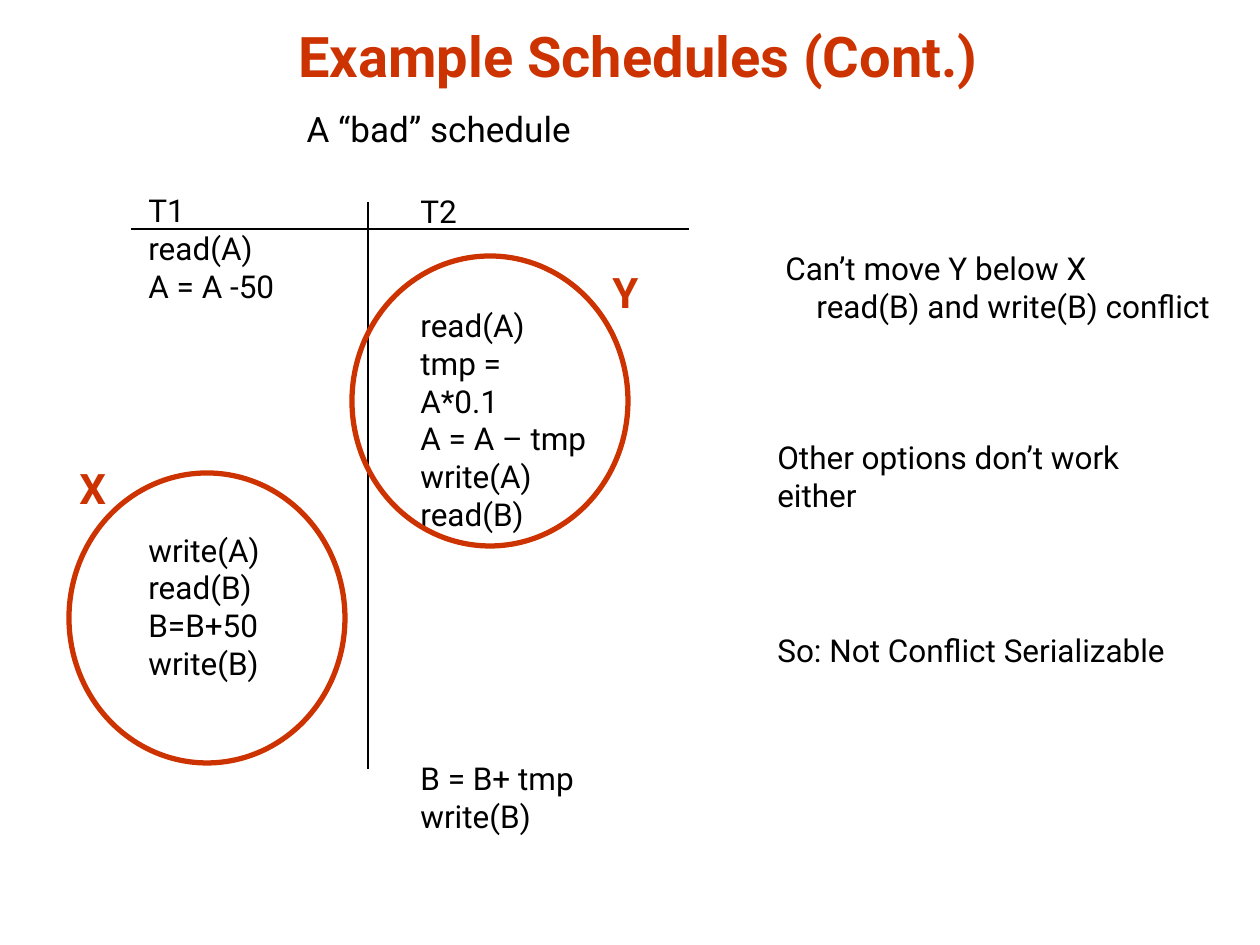
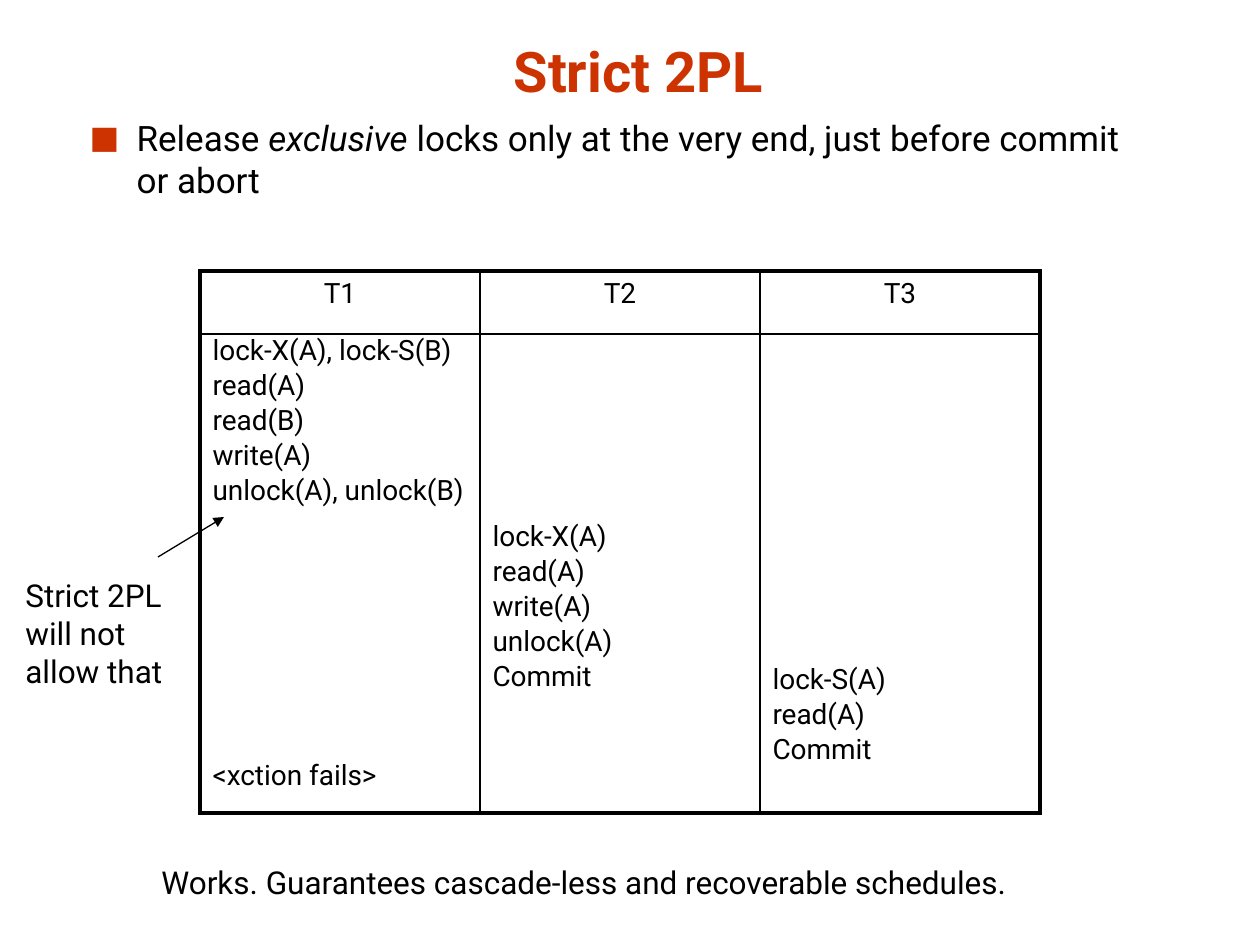
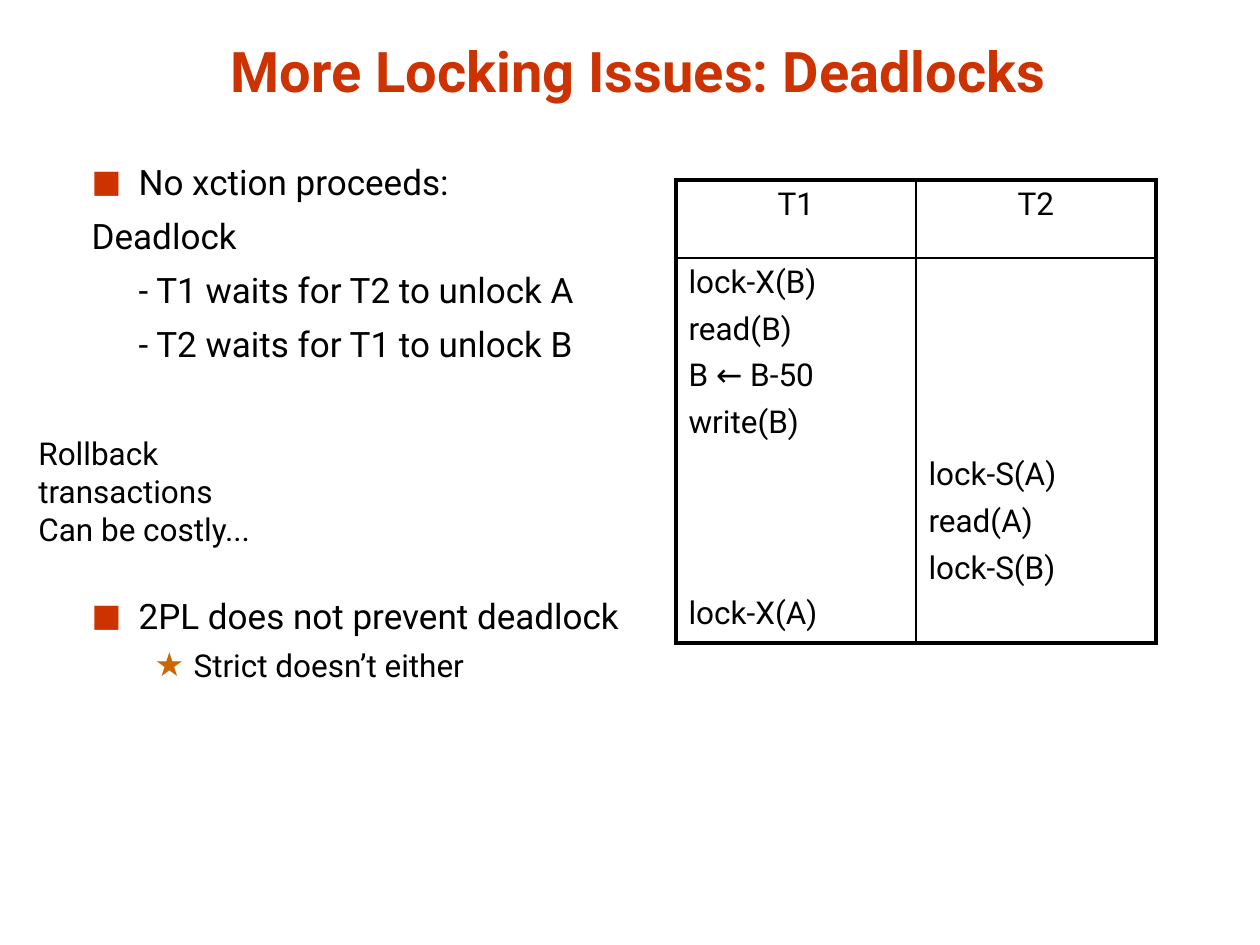
import pptx
import pptx.util
import pptx.dml.color
import pptx.enum.shapes
import pptx.enum.text
import pptx.oxml
import pptx.oxml.ns

RED = pptx.dml.color.RGBColor(0xCC, 0x33, 0x00)
AMBER = pptx.dml.color.RGBColor(0xCC, 0x66, 0x00)
BLACK = pptx.dml.color.RGBColor(0, 0, 0)
FONT = "Roboto"
SCALE = 914400 / 126  # EMU in one px
CENTER = pptx.enum.text.PP_ALIGN.CENTER
THIN, THICK = 12700, 28575  # table rules in EMU


def px(*sizes):
    return [pptx.util.Emu(round(size * SCALE)) for size in sizes]


def node(tag, inner="", **attrs):
    """Build one DrawingML element."""
    text = "".join(f' {key}="{value}"' for key, value in attrs.items())
    space = pptx.oxml.ns.nsdecls("a")
    return pptx.oxml.parse_xml(f"<a:{tag} {space}{text}>{inner}</a:{tag}>")


class Deck:
    def __init__(self):
        self.prs = pptx.Presentation()
        self.prs.slide_width, self.prs.slide_height = px(1260, 945)
        self.slide = None

    def place(self, shape, box):
        shape.left, shape.top, shape.width, shape.height = px(*box)

    def font(self, para, size, color=BLACK, bold=False):
        for run in para.runs:
            font = run.font
            font.name, font.size, font.bold = FONT, pptx.util.Pt(size), bold
            font.color.rgb = color

    def fill(self, frame, lines, size=18, lead=0, gaps=None, color=BLACK, bold=False):
        """Write lines; lead is the usual space above, gaps adds px by index."""
        frame.text = "\n".join(lines)
        for row, para in enumerate(frame.paragraphs):
            para.space_before = px(lead + (gaps or {}).get(row, 0))[0]
            self.font(para, size, color, bold)

    def start(self, title, top=26):
        self.slide = self.prs.slides.add_slide(self.prs.slide_layouts[1])
        head = self.slide.shapes.title
        self.place(head, (82, top, 1113, 84))
        frame = head.text_frame
        self.fill(frame, [title], 32, color=RED, bold=True)
        frame.auto_size = pptx.enum.text.MSO_AUTO_SIZE.NONE
        frame.vertical_anchor = pptx.enum.text.MSO_ANCHOR.BOTTOM
        frame.paragraphs[0].alignment = CENTER

    def body(self, box, lines, gaps=None):
        shape = self.slide.placeholders[1]
        self.place(shape, box)
        frame = shape.text_frame
        self.fill(frame, lines, 20, 12, gaps)
        frame.auto_size = pptx.enum.text.MSO_AUTO_SIZE.NONE
        for para in frame.paragraphs:
            self.indent(para, 0)
        return frame.paragraphs

    def indent(self, para, left, hang=0, mark=None, color=RED, size=90):
        """Set the left margin, hanging indent and bullet of a paragraph."""
        props = para._p.get_or_add_pPr()
        props.set("marL", str(px(left)[0]))
        props.set("indent", str(px(-hang)[0]))
        for old in props.findall(pptx.oxml.ns.qn("a:buNone")):
            props.remove(old)
        if mark:
            props.append(node("buClr", f'<a:srgbClr val="{color}"/>'))
            props.append(node("buSzPct", val=size * 1000))
            props.append(node("buFont", typeface=FONT))
            props.append(node("buChar", char=mark))
        else:
            props.append(node("buNone"))

    def square(self, para):
        self.indent(para, 47, 47, "■")

    def text(self, box, lines, size=18, **style):
        frame = self.slide.shapes.add_textbox(*px(*box)).text_frame
        frame.word_wrap = True
        self.fill(frame, lines, size, **style)
        return frame.paragraphs

    def line(self, x1, y1, x2, y2, arrow=False):
        kind = pptx.enum.shapes.MSO_CONNECTOR.STRAIGHT
        line = self.slide.shapes.add_connector(kind, *px(x1, y1, x2, y2))
        line.line.color.rgb = BLACK
        line.line.width = pptx.util.Pt(0.75)
        line._element.spPr.append(node("effectLst"))
        if arrow:
            line.line._get_or_add_ln().append(node("tailEnd", type="triangle"))

    def ring(self, left, top):
        kind = pptx.enum.shapes.MSO_SHAPE.OVAL
        ring = self.slide.shapes.add_shape(kind, *px(left, top, 276, 290))
        ring.shadow.inherit = False
        ring.fill.background()
        ring.line.color.rgb = RED
        ring.line.width = pptx.util.Pt(3)

    def table(self, left, top, wide, highs, cols, size, lead, space=1.0):
        """Draw a schedule; each column is (head, lines, gaps, top margin)."""
        last = len(cols) - 1
        box = px(left, top, wide * len(cols), sum(highs))
        table = self.slide.shapes.add_table(2, len(cols), *box).table
        table.first_row = table.horz_banding = False
        for row, high in zip(table.rows, highs):
            row.height = px(high)[0]
        for col, (head, lines, gaps, skip) in enumerate(cols):
            table.columns[col].width = px(wide)[0]
            top_cell, low_cell = table.cell(0, col), table.cell(1, col)
            self.fill(top_cell.text_frame, [head], size, lead)
            top_cell.text_frame.paragraphs[0].alignment = CENTER
            self.fill(low_cell.text_frame, lines, size, lead, gaps)
            low_cell.margin_top = px(6 + skip)[0]
            for para in low_cell.text_frame.paragraphs:
                para.line_spacing = space
            for row, cell in enumerate((top_cell, low_cell)):
                self.border(cell, (col == 0, col == last, row == 0, row == 1))

    def border(self, cell, outer):
        cell.fill.background()
        props = cell._tc.get_or_add_tcPr()
        ink = f'<a:solidFill><a:srgbClr val="{BLACK}"/></a:solidFill>'
        for spot, (side, edge) in enumerate(zip("LRTB", outer)):
            props.insert(spot, node("ln" + side, ink, w=THICK if edge else THIN))


def bad(deck):
    deck.start("Example Schedules (Cont.)", 11)
    note = deck.body((146, 101, 926, 91), ["A “bad” schedule"])
    deck.indent(note[0], 148)

    # Schedule columns
    deck.text((136, 185, 190, 505),
              ["T1", "read(A)", "A = A -50", "write(A)", "read(B)", "B=B+50",
               "write(B)"], gaps={3: 226})
    deck.text((408, 186, 210, 619),
              ["T2", "read(A)", "tmp =\vA*0.1", "A = A – tmp", "write(A)",
               "read(B)", "B = B+ tmp", "write(B)"], gaps={1: 76, 6: 226})
    deck.line(131, 229, 689, 229)
    deck.line(368, 202, 368, 769)

    # Conflicting blocks
    for name, ring, tag in (("Y", (352, 256), (600, 260)),
                            ("X", (69, 473), (67, 456))):
        deck.ring(*ring)
        deck.text((*tag, 53, 63), [name], 24, color=RED, bold=True)

    # Reasoning
    why = deck.text((773, 243, 470, 88),
                    ["Can’t move Y below X", "read(B) and write(B) conflict"])
    deck.indent(why[1], 31)
    deck.text((765, 432, 430, 88), ["Other options don’t work either"])
    deck.text((765, 625, 440, 50), ["So: Not Conflict Serializable"])


def strict(deck):
    deck.start("Strict 2PL")
    rule = deck.body((77, 110, 1081, 140), ["Release "])[0]
    word, rest = rule.add_run(), rule.add_run()
    word.text = "exclusive"
    rest.text = " locks only at the very end, just before commit or abort"
    deck.font(rule, 20)
    word.font.italic = True
    deck.square(rule)

    # Schedule
    deck.table(200, 271, 280, (63, 479), [
        ("T1", ["lock-X(A), lock-S(B)", "read(A)", "read(B)", "write(A)",
                "unlock(A), unlock(B)", "<xction fails>"], {5: 250}, 0),
        ("T2", ["lock-X(A)", "read(A)", "write(A)", "unlock(A)", "Commit"], {}, 186),
        ("T3", ["lock-S(A)", "read(A)", "Commit"], {}, 329),
    ], 16, 9, 0.8)

    # Remarks
    deck.line(158, 557, 224, 517, arrow=True)
    deck.text((13, 570, 175, 126), ["Strict 2PL", "will not", "allow that"])
    deck.text((149, 857, 900, 50),
              ["Works. Guarantees cascade-less and recoverable schedules."])


def locks(deck):
    deck.start("More Locking Issues: Deadlocks")
    list_ = deck.body((79, 154, 1081, 671), [
        "No xction proceeds:", "Deadlock", "- T1 waits for T2 to unlock A",
        "- T2 waits for T1 to unlock B", "2PL does not prevent deadlock",
        "Strict doesn’t either"], {4: 218})
    for row in (0, 4):
        deck.square(list_[row])
    for row in (2, 3):
        deck.indent(list_[row], 47)
    star = list_[5]
    star.level = 1
    star.space_before = px(10)[0]
    deck.font(star, 18)
    deck.indent(star, 102, 39, "★", AMBER, 105)

    # Schedule
    deck.table(676, 180, 240, (78, 385), [
        ("T1", ["lock-X(B)", "read(B)", "B ← B-50", "write(B)", "lock-X(A)"],
         {4: 144}, 0),
        ("T2", ["lock-S(A)", "read(A)", "lock-S(B)"], {}, 192),
    ], 18, 10)

    # Remedy
    deck.text((26, 428, 300, 126), ["Rollback transactions", "Can be costly..."])


def main():
    deck = Deck()
    for build in (bad, strict, locks):
        build(deck)
    deck.prs.save("out.pptx")


if __name__ == "__main__":
    main()
